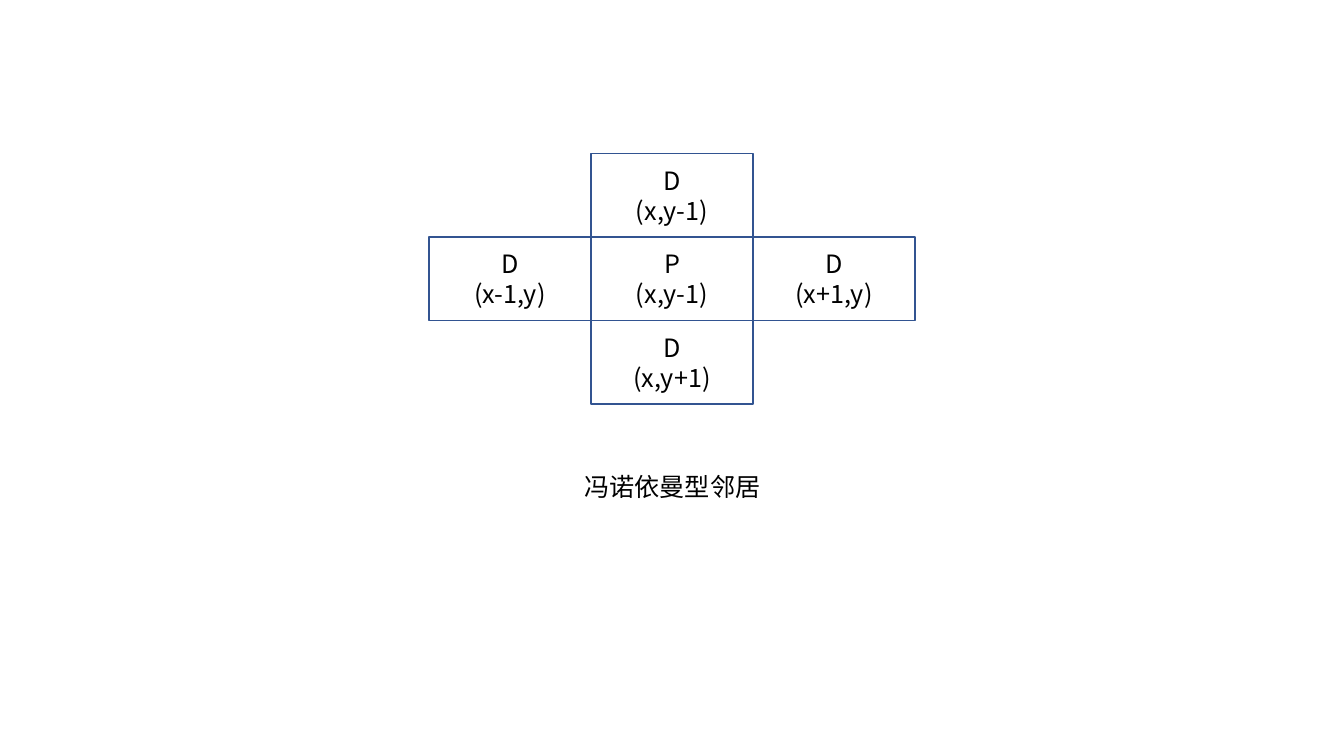
import pptx
import pptx.util
import pptx.dml.color
import pptx.enum.shapes
import pptx.enum.text
import pptx.oxml
import pptx.oxml.ns
from typing import Any, NamedTuple

Pt = pptx.util.Pt
FONT = "Noto Sans CJK SC"
COLORS = {"fill": "FFFFFF", "line": "325491", "text": "000000"}

# Grid of cells, centred on P
WIDE, HIGH = 115.75, 59.7
LEFT, TOP = 422.1, 169.2


class Cell(NamedTuple):
    col: int
    row: int
    name: str
    place: str


CELLS = [
    Cell(0, -1, "D", "(x,y-1)"),
    Cell(0, 0, "P", "(x,y-1)"),
    Cell(1, 0, "D", "(x+1,y)"),
    Cell(-1, 0, "D", "(x-1,y)"),
    Cell(0, 1, "D", "(x,y+1)"),
]


def color(key: str) -> pptx.dml.color.RGBColor:
    return pptx.dml.color.RGBColor.from_string(COLORS[key])


def write(shape: Any, *lines: str, size: float = 18, ink: str = "text",
          anchor: Any = pptx.enum.text.MSO_ANCHOR.MIDDLE) -> None:
    frame = shape.text_frame
    frame.word_wrap = True
    frame.vertical_anchor = anchor
    frame.text = "\n".join(lines)
    for para in frame.paragraphs:
        para.alignment = pptx.enum.text.PP_ALIGN.CENTER
        for run in para.runs:
            run.font.name = FONT
            run.font.size = Pt(size)
            run.font.color.rgb = color(ink)
            # East Asian glyphs take their own font entry
            asian = pptx.oxml.parse_xml(
                f'<a:ea {pptx.oxml.ns.nsdecls("a")} typeface="{FONT}"/>')
            run.font._element.find(pptx.oxml.ns.qn("a:latin")).addnext(asian)


def draw(slide: Any, cell: Cell) -> None:
    box = slide.shapes.add_shape(
        pptx.enum.shapes.MSO_SHAPE.RECTANGLE,
        Pt(LEFT + cell.col * WIDE), Pt(TOP + cell.row * HIGH),
        Pt(WIDE), Pt(HIGH))
    box.shadow.inherit = False
    box.fill.solid()
    box.fill.fore_color.rgb = color("fill")
    box.line.color.rgb = color("line")
    box.line.width = Pt(1)
    write(box, cell.name, cell.place)


# Slide
deck = pptx.Presentation()
deck.slide_width, deck.slide_height = Pt(960), Pt(540)
slide = deck.slides.add_slide(deck.slide_layouts.get_by_name("Blank"))

# Neighbourhood cross
for cell in CELLS:
    draw(slide, cell)

# Caption
label = slide.shapes.add_textbox(Pt(389.5), Pt(333.4), Pt(181.4), Pt(29))
write(label, "冯诺依曼型邻居", anchor=pptx.enum.text.MSO_ANCHOR.TOP)
label.text_frame.auto_size = pptx.enum.text.MSO_AUTO_SIZE.SHAPE_TO_FIT_TEXT

deck.save("out.pptx")
